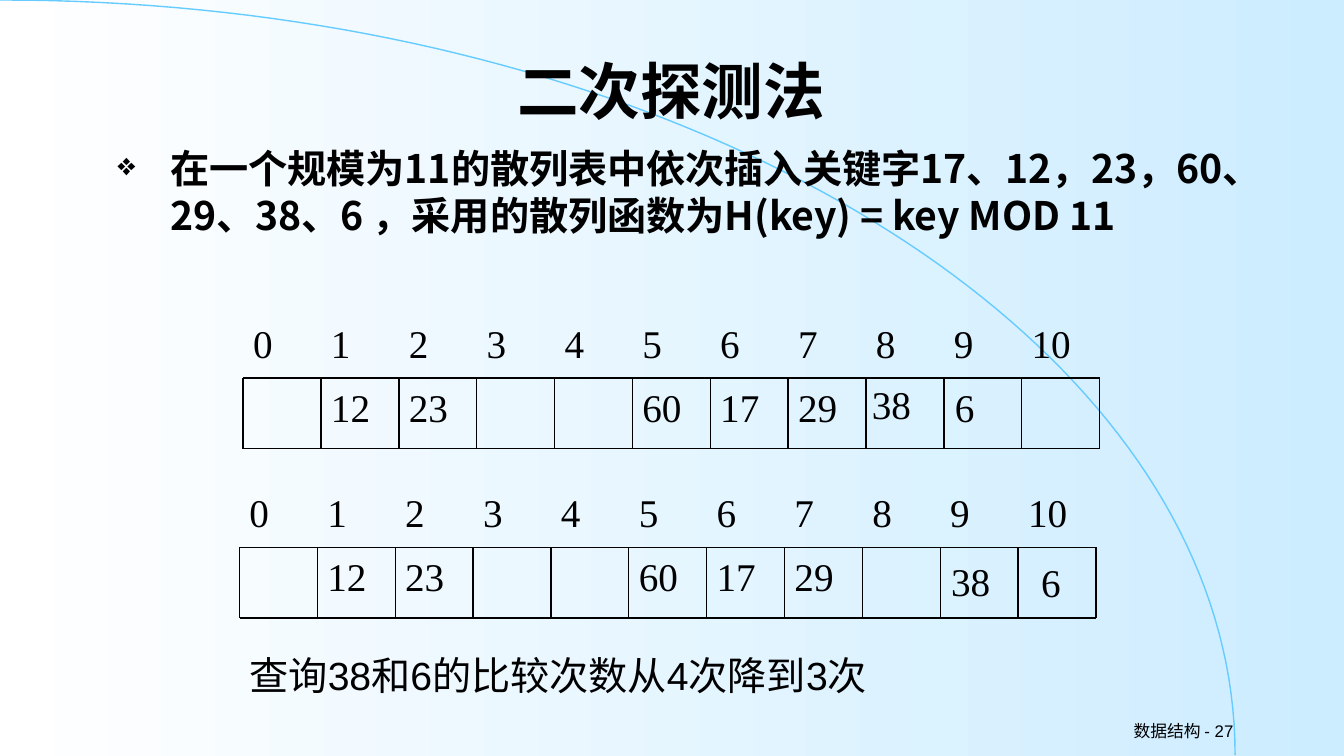
from lxml import etree
from pptx import Presentation
from pptx.dml.color import RGBColor
from pptx.enum.shapes import MSO_CONNECTOR
from pptx.enum.text import MSO_ANCHOR, PP_ALIGN
from pptx.oxml.ns import qn
from pptx.util import Pt

STRAIGHT = MSO_CONNECTOR.STRAIGHT
TOP, MIDDLE = MSO_ANCHOR.TOP, MSO_ANCHOR.MIDDLE
LEFT, CENTER, RIGHT = PP_ALIGN.LEFT, PP_ALIGN.CENTER, PP_ALIGN.RIGHT

COLORS = {"ink": "000000", "arc": "66CCFF", "fade_from": "FFFFFF", "fade_to": "CCECFF"}
SANS, SERIF, CHINESE = "Arial", "Times New Roman", "Noto Sans CJK SC"

SLIDE_WIDTH, SLIDE_HEIGHT = 960.5, 540
CELL_COUNT, CELL_WIDTH, CELL_HEIGHT, INDEX_HEIGHT = 11, 55.64, 50.4, 45.4

# Stored keys by cell: text and its offset from the cell's corner
SHARED_KEYS = {1: ("12", 0, 0), 2: ("23", 0, 0), 5: ("60", 0, 0),
               6: ("17", 0, 0), 7: ("29", 0, 0)}
LINEAR_KEYS = SHARED_KEYS | {8: ("38", -2.9, -2.2), 9: ("6", 0.7, 0)}
QUADRATIC_KEYS = SHARED_KEYS | {9: ("38", 0.7, 3.6), 10: ("6", 9.3, 4.3)}


def color(name):
    return RGBColor.from_string(COLORS[name])


def add_text(slide, box, text, size=28, font=SANS, bold=False, align=LEFT, anchor=TOP):
    shape = slide.shapes.add_textbox(*(Pt(length) for length in box))
    frame = shape.text_frame
    frame.word_wrap = True
    frame.vertical_anchor = anchor
    paragraph = frame.paragraphs[0]
    paragraph.text = text
    paragraph.alignment = align
    paragraph.font.name = font
    paragraph.font.size = Pt(size)
    paragraph.font.bold = bold
    paragraph.font.color.rgb = color("ink")
    latin = paragraph.font._element.find(qn("a:latin"))
    latin.addnext(etree.Element(qn("a:ea"), typeface=CHINESE))
    return paragraph


def add_line(slide, x1, y1, x2, y2):
    line = slide.shapes.add_connector(STRAIGHT, Pt(x1), Pt(y1), Pt(x2), Pt(y2))
    line.line.color.rgb = color("ink")
    line.line.width = Pt(1)
    etree.SubElement(line._element.spPr, qn("a:effectLst"))


def add_backdrop(slide, width, height):
    # Left-to-right fade
    fill = slide.background.fill
    fill.gradient()
    fill.gradient_angle = 0
    for stop, name in zip(fill.gradient_stops, ("fade_from", "fade_to")):
        stop.color.rgb = color(name)
    # Quarter-ellipse arc, from the top left to the bottom right
    steps, bend = 80, 0.552
    points = []
    for step in range(steps + 1):
        t = step / steps
        rise = 3 * (1 - t) * t * t
        x = 3 * (1 - t) ** 2 * t * bend + rise + t ** 3
        y = rise * (1 - bend) + t ** 3
        points.append((Pt(x * width), Pt(y * height)))
    builder = slide.shapes.build_freeform(*points[0])
    builder.add_line_segments(points[1:], close=False)
    arc = builder.convert_to_shape()
    arc.shadow.inherit = False
    arc.fill.background()
    arc.line.color.rgb = color("arc")
    arc.line.width = Pt(1)


def add_bullet_text(slide, box, text):
    paragraph = add_text(slide, box, text, font=CHINESE, bold=True)
    paragraph.line_spacing = 1.0
    paragraph.space_before = Pt(7)
    properties = paragraph._p.get_or_add_pPr()
    properties.set("marL", str(Pt(37.5)))
    properties.set("indent", str(Pt(-37.5)))
    bullet_size = etree.Element(qn("a:buSzPct"), val="80000")
    bullet = etree.Element(qn("a:buChar"), char="❖")
    properties.find(qn("a:spcBef")).addnext(bullet_size)
    bullet_size.addnext(bullet)


def add_hash_table(slide, left, top, keys):
    cells_top = top + INDEX_HEIGHT
    cells_bottom = cells_top + CELL_HEIGHT
    right = left + CELL_COUNT * CELL_WIDTH
    # Indices and keys
    for index in range(CELL_COUNT):
        x = left + index * CELL_WIDTH
        add_text(slide, (x, top, CELL_WIDTH, INDEX_HEIGHT), str(index), font=SERIF)
        if index in keys:
            key, dx, dy = keys[index]
            add_text(slide, (x + dx, cells_top + dy, CELL_WIDTH, CELL_HEIGHT), key, font=SERIF)
    # Grid lines
    for y in (cells_top, cells_bottom):
        add_line(slide, left, y, right, y)
    for index in range(CELL_COUNT + 1):
        x = left + index * CELL_WIDTH
        add_line(slide, x, cells_top, x, cells_bottom)


def add_probing_slide(presentation):
    slide = presentation.slides.add_slide(presentation.slide_layouts[6])
    add_backdrop(slide, 882.7, 539.3)
    # Footer and title
    add_text(slide, (688.3, 509.8, 200.2, 23.8), "数据结构 - 27",
             size=12, align=RIGHT, anchor=MIDDLE)
    add_text(slide, (173.8, 19.4, 612, 90), "二次探测法",
             size=44, bold=True, align=CENTER, anchor=MIDDLE)
    # Task
    add_bullet_text(slide, (77, 99.4, 833.8, 160.6),
                    "在一个规模为11的散列表中依次插入关键字17、12，23，60、29、38、6 ，"
                    "采用的散列函数为H(key) = key MOD 11")
    # Both tables and the conclusion
    add_hash_table(slide, 173.8, 224.6, LINEAR_KEYS)
    add_hash_table(slide, 171.2, 345.6, QUADRATIC_KEYS)
    add_text(slide, (171.2, 461.5, 541.4, 41), "查询38和6的比较次数从4次降到3次")


def main():
    presentation = Presentation()
    presentation.slide_width = Pt(SLIDE_WIDTH)
    presentation.slide_height = Pt(SLIDE_HEIGHT)
    add_probing_slide(presentation)
    presentation.save("out.pptx")


if __name__ == "__main__":
    main()
